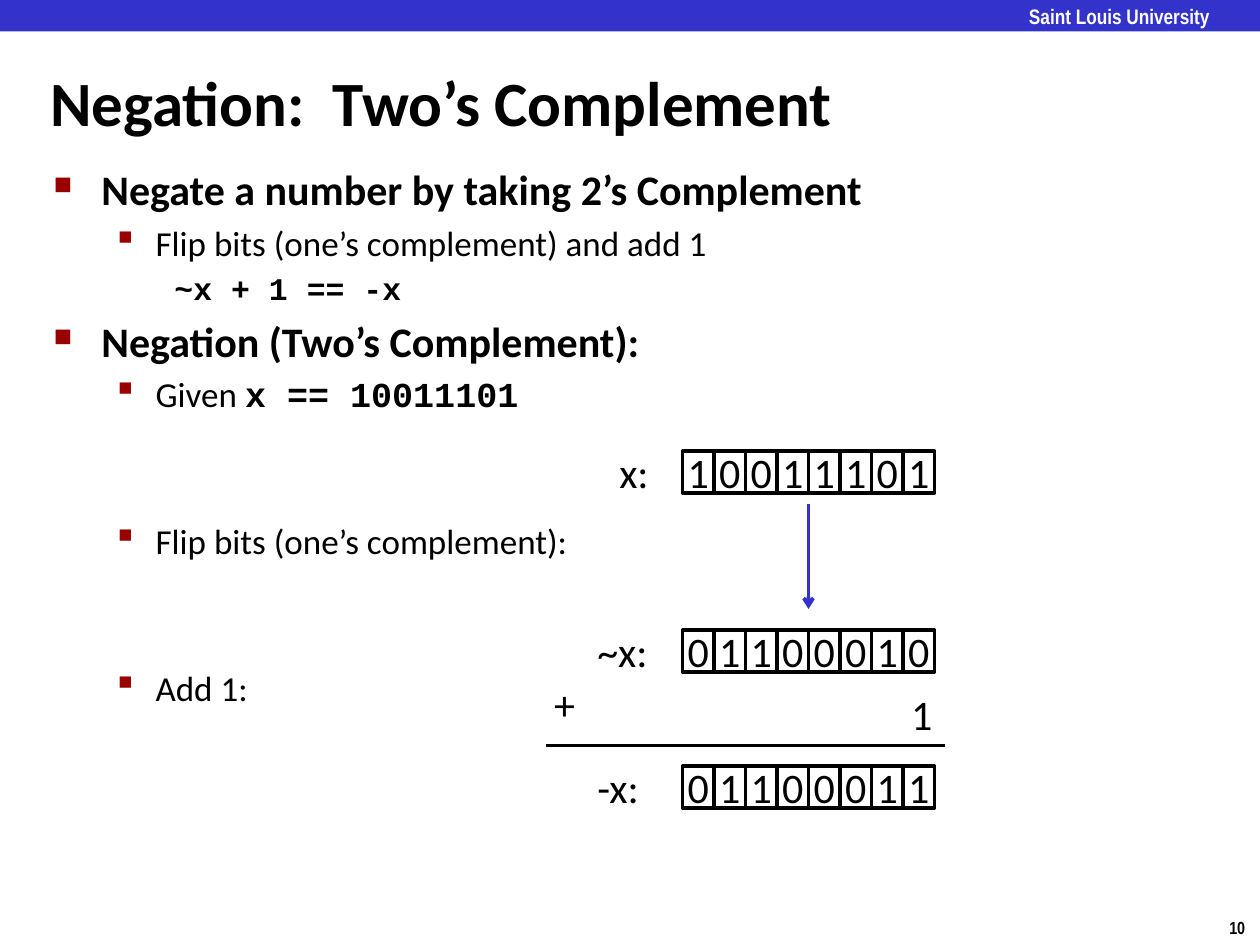
from pptx import Presentation
from pptx.dml.color import RGBColor
from pptx.enum.shapes import MSO_CONNECTOR as CONNECTOR, MSO_SHAPE as SHAPE
from pptx.enum.text import MSO_ANCHOR as ANCHOR, PP_ALIGN as ALIGN
from pptx.oxml.ns import qn
from pptx.util import Inches, Pt
from lxml.etree import SubElement

BLACK, WHITE, BLUE, RED = "000000", "FFFFFF", "3333CC", "990000"
CELL_W, CELL_H = 3, 4  # one bit cell, in grid units


def grid(*units):
    """Lengths on a grid of 120 columns by 90 rows, twelve to the inch."""
    return [Inches(unit / 12) for unit in units]


def style(font, size, name="Calibri", bold=False, color=BLACK):
    font.size, font.name, font.bold = Pt(size), name, bold
    font.color.rgb = RGBColor.from_string(color)


deck = Presentation()
deck.slide_width, deck.slide_height = grid(120, 90)
slide = deck.slides.add_slide(deck.slide_layouts[6])
shapes = slide.shapes

# Header bar
bar = shapes.add_shape(SHAPE.RECTANGLE, *grid(0, 0, 120, 3))
bar.shadow.inherit = False
bar.fill.solid()
bar.fill.fore_color.rgb = RGBColor.from_string(BLUE)
bar.line.fill.background()

# Header, page number and title
headings = [
    ("Saint Louis University", (98, 0.3, 20, 2.25), 12, "Arial Narrow", WHITE, 0),
    ("10", (115.9, 86.75, 4.1, 3.25), 10, "Arial Narrow", BLACK, 0.1),
    ("Negation:  Two’s Complement", (3.6, 6, 116.4, 7.3), 36, "Calibri", BLACK, 0.1),
]
for text, place, size, face, color, inset in headings:
    frame = shapes.add_textbox(*grid(*place)).text_frame
    frame.text = text
    frame.margin_left = frame.margin_right = Inches(inset)
    frame.margin_top = frame.margin_bottom = Inches(inset / 2)
    frame.vertical_anchor = ANCHOR.MIDDLE if size == 36 else ANCHOR.TOP
    style(frame.paragraphs[0].runs[0].font, size, face, True, color)

# Bulleted outline: level, space before, size, bullet, (text, is code) runs
outline = [
    (0, 0, 24, "n", [("Negate a number by taking 2’s Complement", False)]),
    (1, 4, 20, "§", [("Flip bits (one’s complement) and add 1", False)]),
    (1, 3.6, 18, None, [("\t ~x + 1 == -x", True)]),
    (0, 4.8, 24, "n", [("Negation (Two’s Complement):", False)]),
    (1, 3.6, 20, "§", [("Given ", False), ("x == 10011101", True)]),
    (1, 60, 20, "§", [("Flip bits (one’s complement):", False)]),
    (1, 60, 20, "§", [("Add 1:", False)]),
]
body = shapes.add_textbox(*grid(3.92, 15, 103, 68.5)).text_frame
body.word_wrap = True
for number, (level, before, size, bullet, pieces) in enumerate(outline):
    point = body.add_paragraph() if number else body.paragraphs[0]
    point.level, point.space_before = level, Pt(before)
    props = point._p.get_or_add_pPr()
    margin, indent = [(0.38, -0.38), (0.81, -0.31)][level]
    props.set("marL", str(Inches(margin)))
    props.set("indent", str(Inches(indent)))
    if bullet:
        SubElement(SubElement(props, qn("a:buClr")), qn("a:srgbClr")).set("val", RED)
        SubElement(props, qn("a:buSzPct")).set("val", ["60000", "110000"][level])
        bullet_font = SubElement(props, qn("a:buFont"))
        bullet_font.set("typeface", "Wingdings")
        bullet_font.set("charset", "2")
        SubElement(props, qn("a:buChar")).set("char", bullet)
    else:
        SubElement(props, qn("a:buNone"))
    for text, is_code in pieces:
        run = point.add_run()
        run.text = text
        style(run.font, size, "Courier New" if is_code else "Calibri", is_code or level == 0)

# Registers of eight bits
for bits, row in [("10011101", 42.96), ("01100010", 60), ("01100011", 72.96)]:
    register = shapes.add_group_shape()
    for place, bit in enumerate(bits):
        cell = register.shapes.add_shape(
            SHAPE.RECTANGLE, *grid(65 + place * CELL_W, row, CELL_W, CELL_H))
        cell.shadow.inherit = False
        cell.fill.solid()
        cell.fill.fore_color.rgb = RGBColor.from_string(WHITE)
        cell.line.color.rgb = RGBColor.from_string(BLACK)
        cell.line.width = Pt(2)
        frame = cell.text_frame
        frame.text = bit
        frame.word_wrap = False
        frame.vertical_anchor = ANCHOR.MIDDLE
        frame.paragraphs[0].alignment = ALIGN.CENTER
        style(frame.paragraphs[0].runs[0].font, 24)

# Labels of the sum
for text, column, row in [("x:", 57.8, 41.9), ("~x:", 55.7, 59), ("-x:", 55.7, 71.9),
                          ("+", 51.6, 64), ("1", 85.6, 65)]:
    label = shapes.add_textbox(*grid(column, row, 8, 6)).text_frame
    label.word_wrap = True
    label.text = text
    style(label.paragraphs[0].runs[0].font, 24)

# Sum rule and flip arrow
for ends, color, has_arrow in [((52, 71, 90, 71), BLACK, False),
                               ((77, 48, 77, 58), BLUE, True)]:
    line = shapes.add_connector(CONNECTOR.STRAIGHT, *grid(*ends))
    line.line.color.rgb = RGBColor.from_string(color)
    line.line.width = Pt(2)
    if has_arrow:
        SubElement(line.line._get_or_add_ln(), qn("a:tailEnd")).set("type", "arrow")
    SubElement(line._element.spPr, qn("a:effectLst"))

deck.save("out.pptx")
